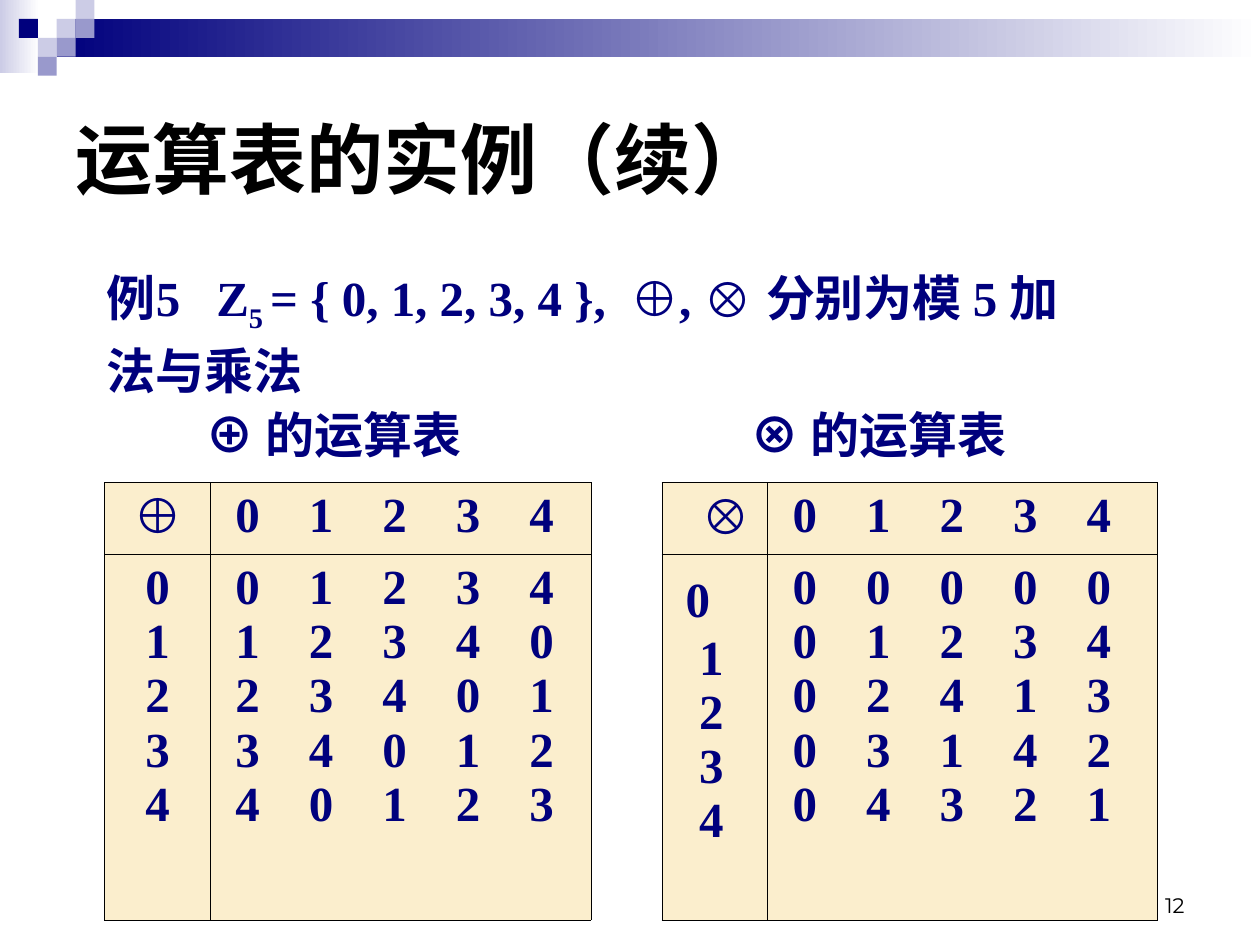
from lxml.etree import SubElement as Sub
from pptx import Presentation
from pptx.dml.color import RGBColor as Rgb
from pptx.enum.shapes import MSO_SHAPE as Shape
from pptx.enum.text import MSO_ANCHOR as Anchor, PP_ALIGN as Align
from pptx.oxml.ns import qn
from pptx.util import Pt

NAVY, PALE, MID, CREAM = "00007D", "CCCCE6", "9999CC", "FBEECD"
SERIF, SANS, HAN = "Times New Roman", "Arial", "Noto Sans CJK SC"
BODY = {"size": Pt(28), "bold": True}
HEAD = {"size": Pt(44), "bold": True}
NOTE = {"size": Pt(12), "bold": False}
STEP = [42, 84, 126, 168]


def tint(code):
    """Turn a hex string into a colour."""
    return Rgb.from_string(code)


def put(thing, vals):
    """Set each attribute named in a dict."""
    for name, val in vals.items():
        setattr(thing, name, val)


def write(para, runs, font=BODY, color=NAVY, tabs=(), **form):
    """Fill a paragraph with (text, face, extra format) runs."""
    put(para, form)
    if tabs:
        stops = Sub(para._p.get_or_add_pPr(), qn("a:tabLst"))
        for pos in tabs:
            Sub(stops, qn("a:tab"), pos=str(Pt(pos)), algn="l")
    for text, face, *base in runs:
        run = para.add_run()
        run.text = text
        put(run.font, {**font, "name": face})
        run.font.color.rgb = tint(color)
        props = run._r.get_or_add_rPr()
        Sub(props, qn("a:ea"), typeface=HAN)
        for val in base:
            props.set("baseline", str(val))


def lines(frame, count):
    """Return the given number of paragraphs of a frame."""
    return [frame.paragraphs[0]] + [frame.add_paragraph() for _ in range(count - 1)]


def text_box(slide, box, anchor=Anchor.TOP):
    """Add a wrapping text frame."""
    frame = slide.shapes.add_textbox(*map(Pt, box)).text_frame
    put(frame, {"word_wrap": True, "vertical_anchor": anchor})
    return frame


def block(slide, box, *colors):
    """Add a rectangle with a flat fill or a left-to-right blend."""
    rect = slide.shapes.add_shape(Shape.RECTANGLE, *map(Pt, box))
    rect.shadow.inherit = False
    rect.line.fill.background()
    if len(colors) == 1:
        rect.fill.solid()
        rect.fill.fore_color.rgb = tint(colors[0])
        return
    rect.fill.gradient()
    rect.fill.gradient_angle = 0
    for stop, code in zip(rect.fill.gradient_stops, colors):
        stop.color.rgb = tint(code)


def banner(slide, box):
    """Draw the blended bar and the mosaic of squares."""
    left, top, wide, unit = box
    block(slide, (left, top, 22.5, 41.5), PALE, "FFFFFF")
    block(slide, (left + 3 * unit, top + unit, wide - 3 * unit, 2 * unit), NAVY, "FFFFFF")
    tiles = [(3, 1, PALE), (4, 0, PALE), (4, 1, MID), (2, 2, PALE),
             (1, 1, NAVY), (3, 2, MID), (2, 3, MID)]
    for col, row, code in tiles:
        block(slide, (left + col * unit, top + row * unit, unit, unit), code)


def title(slide, box):
    """Write the heading."""
    frame = text_box(slide, box, Anchor.MIDDLE)
    write(frame.paragraphs[0], [("运算表的实例（续）", SANS)], HEAD, "000000")


def intro(slide, box):
    """Write the example and the captions of both tables."""
    case, names = lines(text_box(slide, box), 2)
    write(case, [("例5\tZ", SERIF), ("5 ", SERIF, -25000),
                 ("= { 0, 1, 2, 3, 4 },\t", SERIF), ("⊕", SANS), (", ", SERIF),
                 ("⊗ ", SANS), ("分别为模 5 加法与乘法", SERIF)],
          tabs=[62.5, 299], line_spacing=1.1)
    write(names, [("\t", SERIF), ("⊕", SANS), (" 的运算表\t", SERIF),
                  ("⊗ ", SANS), ("的运算表", SERIF)],
          tabs=[56.5, 368], line_spacing=1.1)


def frame_cell(cell, sides="LRTB", color=CREAM):
    """Rule the given sides of a cell and fill it."""
    props = cell._tc.get_or_add_tcPr()
    for side in "LRTB":
        line = Sub(props, qn(f"a:ln{side}"), w=str(Pt(0.45)))
        if side in sides:
            Sub(Sub(line, qn("a:solidFill")), qn("a:srgbClr"), val="000000")
        else:
            Sub(line, qn("a:noFill"))
    if color:
        cell.fill.solid()
        cell.fill.fore_color.rgb = tint(color)
    else:
        cell.fill.background()


def digits(cell, rows):
    """Write rows of digits on an even pitch."""
    cell.margin_left = Pt(14.2)
    for para, row in zip(lines(cell.text_frame, len(rows)), rows):
        write(para, [("\t".join(map(str, row)), SERIF)], tabs=STEP)


def tables(slide, box):
    """Build the addition and multiplication tables side by side."""
    grid = slide.shapes.add_table(2, 5, *map(Pt, box)).table
    put(grid, {"first_row": False, "horz_banding": False})
    for col, wide in zip(grid.columns, [60.5, 217.5, 40.5, 60.5, 222.5]):
        col.width = Pt(wide)
    for row, high in zip(grid.rows, [41, 209]):
        row.height = Pt(high)
    for row in range(2):
        for col in range(5):
            gap = col == 2
            frame_cell(grid.cell(row, col), "LR" if gap else "LRTB", None if gap else CREAM)
    grid.cell(0, 2).merge(grid.cell(1, 2))

    span = range(5)
    for col, rule in [(1, lambda a, b: (a + b) % 5), (4, lambda a, b: a * b % 5)]:
        digits(grid.cell(0, col), [span])
        digits(grid.cell(1, col), [[rule(a, b) for b in span] for a in span])

    write(grid.cell(0, 0).text_frame.paragraphs[0], [("⊕", SANS)], alignment=Align.CENTER)
    for num, para in enumerate(lines(grid.cell(1, 0).text_frame, 5)):
        write(para, [(str(num), SERIF)], alignment=Align.CENTER)

    times, side = grid.cell(0, 3), grid.cell(1, 3)
    times.margin_left = Pt(22.8)
    write(times.text_frame.paragraphs[0], [("⊗", SANS)])
    first, *rest = lines(side.text_frame, 5)
    write(first, [(" ", HAN), ("0", SERIF)])
    for num, para in enumerate(rest, 1):
        para._p.get_or_add_pPr().set("marL", str(Pt(14)))
        write(para, [(str(num), SERIF)])


def number(slide, box):
    """Write the page number."""
    frame = text_box(slide, box, Anchor.BOTTOM)
    write(frame.paragraphs[0], [("12", "Montserrat")], NOTE, "000000", alignment=Align.RIGHT)


def main():
    """Build and save the slide."""
    deck = Presentation()
    put(deck, {"slide_width": Pt(720), "slide_height": Pt(540)})
    slide = deck.slides.add_slide(deck.slide_layouts[6])
    banner(slide, (0, 0, 720, 10.8))
    title(slide, (36, 36, 648, 108))
    intro(slide, (54, 145.5, 579.5, 123))
    tables(slide, (59.8, 275.8, 601.5, 250))
    number(slide, (516, 492, 168, 36))
    deck.save("out.pptx")


if __name__ == "__main__":
    main()
